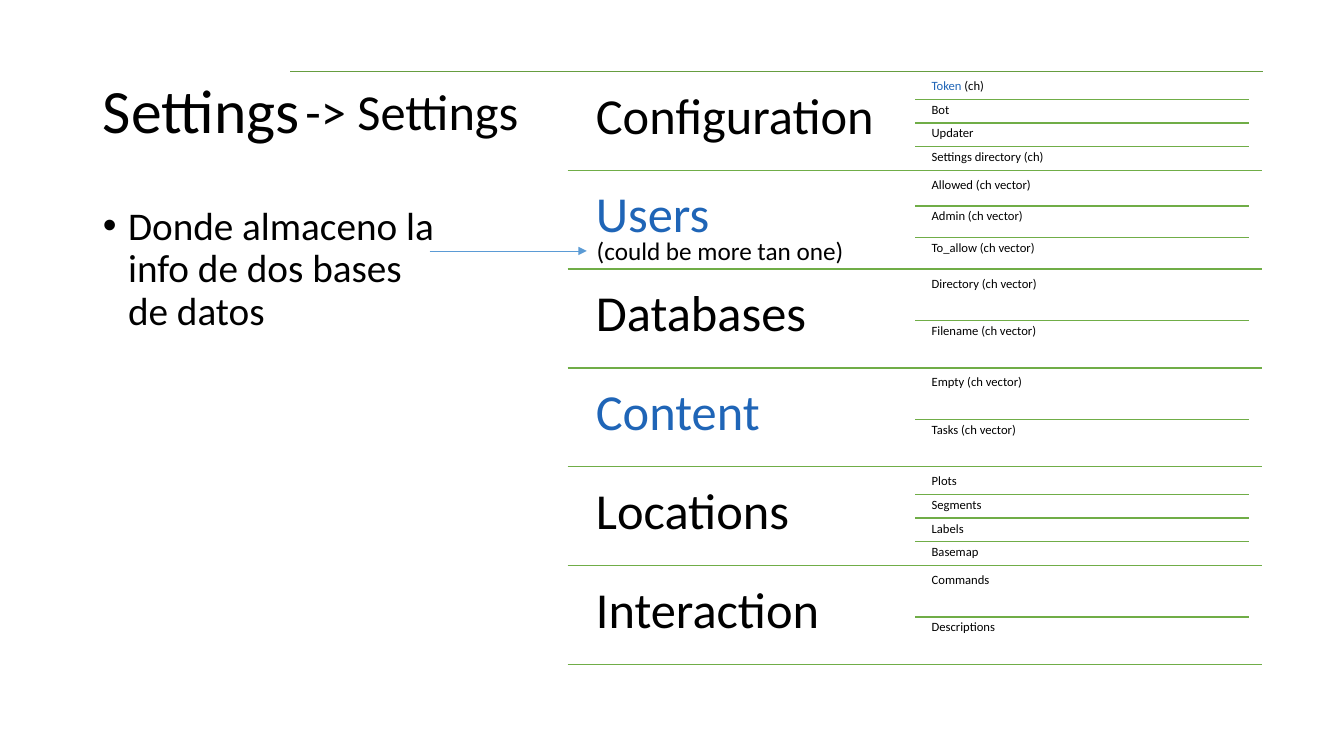
from lxml import etree
from pptx import Presentation
from pptx import util as u
from pptx.dml.color import RGBColor
from pptx.enum import shapes, text
from pptx.oxml.ns import qn

BLACK, BLUE, GREEN = "000000", "1F65B7", "70AD47"
DARK_GREEN, ARROW_BLUE = "669D40", "5B9BD5"

TOP, PITCH, ROW_H = 0.75, 0.98, 0.94
SETTINGS = [
    ("Configuration", BLACK, [[("Token", BLUE), (" (ch)", BLACK)], "Bot", "Updater",
                              "Settings directory (ch)"]),
    ("Users", BLUE, ["Allowed (ch vector)", "Admin (ch vector)", "To_allow (ch vector)"]),
    ("Databases", BLACK, ["Directory (ch vector)", "Filename (ch vector)"]),
    ("Content", BLUE, ["Empty (ch vector)", "Tasks (ch vector)"]),
    ("Locations", BLACK, ["Plots", "Segments", "Labels", "Basemap"]),
    ("Interaction", BLACK, ["Commands", "Descriptions"]),
]


def rgb(value):
    return RGBColor.from_string(value)


class SlideBuilder:
    font = "Calibri"

    def __init__(self, slide):
        self.slide = slide

    def add_runs(self, tf, runs, size, spacing=0.9):
        if isinstance(runs, str):
            runs = [(runs, BLACK)]
        tf.word_wrap = True
        p = tf.paragraphs[0]
        p.alignment = text.PP_ALIGN.LEFT
        p.line_spacing = spacing
        p.space_before = u.Pt(0)
        for words, color in runs:
            r = p.add_run()
            r.text = words
            r.font.name = self.font
            r.font.size = u.Pt(size)
            r.font.color.rgb = rgb(color)

    def placeholder(self, sp, box, words, size, anchor, bullet=False):
        sp.left, sp.top, sp.width, sp.height = [u.Inches(v) for v in box]
        tf = sp.text_frame
        tf.auto_size = text.MSO_AUTO_SIZE.NONE
        tf.vertical_anchor = anchor
        if bullet:
            pPr = tf.paragraphs[0]._p.get_or_add_pPr()
            pPr.set("marL", str(u.Inches(0.25)))
            pPr.set("indent", str(u.Inches(-0.25)))
            etree.SubElement(pPr, qn("a:buFont")).set("typeface", "Arial")
            etree.SubElement(pPr, qn("a:buChar")).set("char", "•")
        self.add_runs(tf, words, size)

    def textbox(self, box, runs, size, inset=None, spacing=0.9):
        sp = self.slide.shapes.add_textbox(*[u.Inches(v) for v in box])
        tf = sp.text_frame
        if inset is not None:
            tf.margin_left = tf.margin_top = u.Inches(inset)
            tf.margin_right = tf.margin_bottom = u.Inches(inset)
        self.add_runs(tf, runs, size, spacing)
        return sp

    def rule(self, x1, x2, y, color=GREEN, width=1, arrow=False):
        line = self.slide.shapes.add_connector(
            shapes.MSO_CONNECTOR.STRAIGHT,
            u.Inches(x1), u.Inches(y), u.Inches(x2), u.Inches(y))
        line.line.color.rgb = rgb(color)
        line.line.width = u.Pt(width)
        if arrow:
            ln = line.line._get_or_add_ln()
            etree.SubElement(ln, qn("a:tailEnd")).set("type", "triangle")
        etree.SubElement(line._element.spPr, qn("a:effectLst"))
        return line

    def setting(self, top, name, color, fields):
        self.textbox((5.76, top, 3.32, 0.93), [(name, color)], 36, 0.15)
        step = ROW_H / len(fields)
        for i, field in enumerate(fields):
            y = top + i * step
            if i:
                self.rule(9.08, 12.39, y)
            self.textbox((9.2, y, 3.32, step), field, 9, 0.04)
        self.rule(5.63, 12.52, top + ROW_H)


def main():
    prs = Presentation()
    prs.slide_width, prs.slide_height = u.Inches(13.33), u.Inches(7.5)
    slide = prs.slides.add_slide(prs.slide_layouts[1])
    b = SlideBuilder(slide)

    b.placeholder(slide.shapes.title, (0.92, 0.4, 11.5, 1.45), "Settings", 44,
                  text.MSO_ANCHOR.MIDDLE)
    b.placeholder(slide.placeholders[1], (0.92, 2, 3.61, 4.76),
                  "Donde almaceno la info de dos bases de datos", 28,
                  text.MSO_ANCHOR.TOP, bullet=True)

    b.rule(2.88, 12.53, 0.71, DARK_GREEN)
    b.textbox((2.88, 0.71, 2.75, 5.93), "-> Settings", 36, 0.15)
    for i, (name, color, fields) in enumerate(SETTINGS):
        b.setting(TOP + i * PITCH, name, color, fields)

    users_note = b.textbox((5.82, 2.29, 2.85, 0.4), "(could be more tan one)", 18, spacing=1)
    users_note.text_frame.auto_size = text.MSO_AUTO_SIZE.SHAPE_TO_FIT_TEXT
    arrow = b.rule(4.26, 5.82, 2.49, ARROW_BLUE, 0.5, arrow=True)
    arrow.end_connect(users_note, 1)

    prs.save("out.pptx")


if __name__ == "__main__":
    main()
